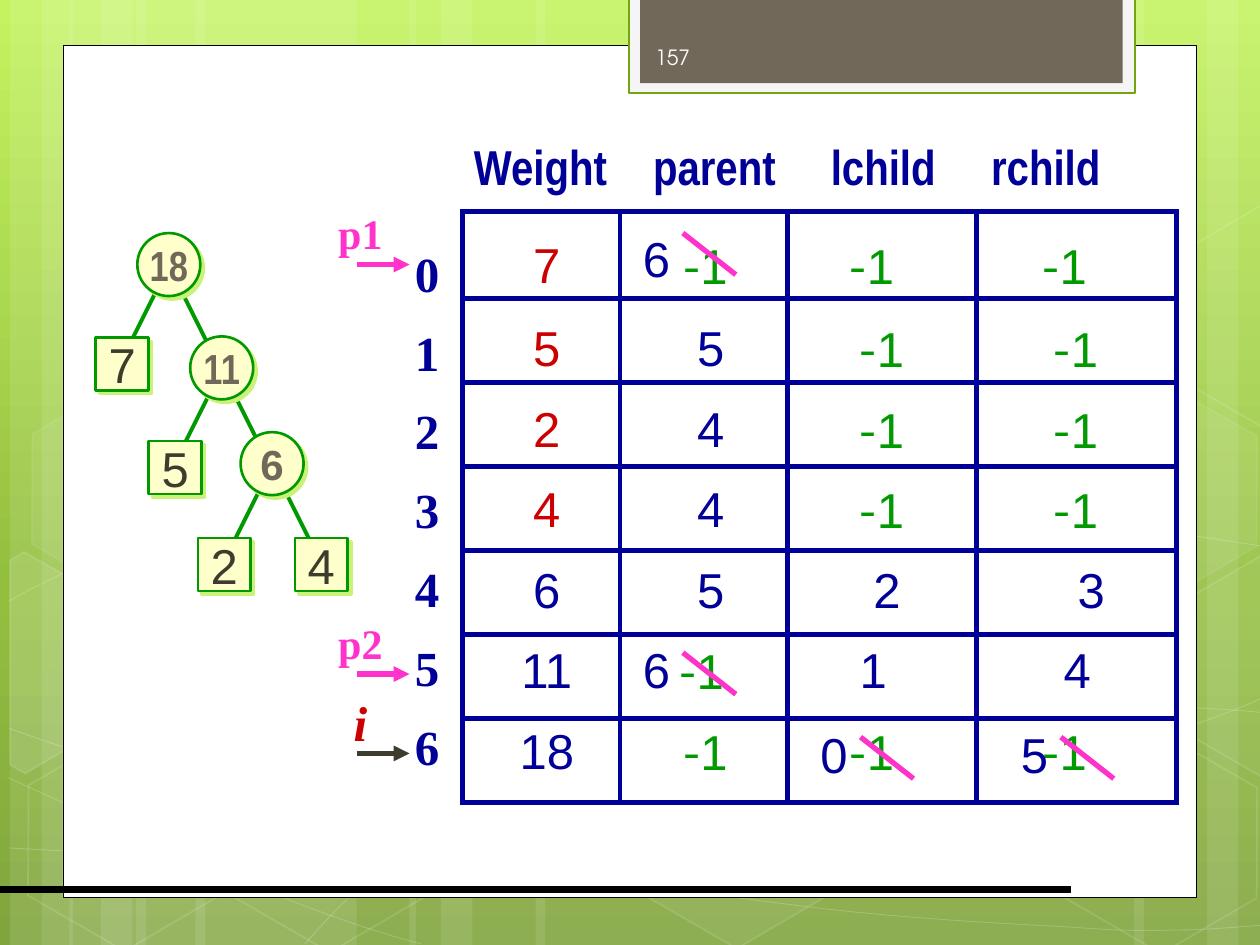
from lxml.etree import SubElement
from pptx import Presentation
from pptx.dml.color import RGBColor
from pptx.enum.shapes import MSO_CONNECTOR, MSO_SHAPE as SHAPE
from pptx.enum.text import MSO_ANCHOR as ANCHOR, PP_ALIGN as ALIGN
from pptx.oxml.ns import qn
from pptx.util import Inches, Pt

COLORS = dict(white="FFFFFF", black="000000", navy="000099", red="CC0000", green="009900",
              pink="FF33CC", dark="3E3D2D", taupe="71685A", cream="FFFFCC", lime="CAF278",
              tab="F5F5F5", olive="74A510", number="FEFEFE")
SERIF = "Times New Roman"

# Backdrop: gradient stops, bands (left, width), hexagons, cut hexagons and curves
GRADIENT = [(0, "C3F35F"), (62, "93BF3F"), (100, "81A53E")]
BANDS = [(1.08, 1.75), (0.08, 0.5), (0.33, 0.83), (1.55, 1.75), (0.55, 0.5), (0.8, 0.83),
         (7.33, 1.75), (9.58, 0.5), (9, 0.83), (4.25, 3.08), (3.25, 0.5), (3.5, 0.83)]
HEXAGONS = [(4.97, 5.89, 6, 12), (0.11, 5.91, 0, 12), (0.14, 3.12, 7, 8),
            (1.74, 5.92, 0, 12), (8.34, 5.93, 0, 12), (8.34, 3.14, 7, 8)]
CUT_HEXAGONS = [
    ([(0.08, 4.45), (0.19, 4.38), (0.96, 4.82), (0.95, 5.7), (0.2, 6.14), (0.08, 6.07)], 10),
    ([(9.26, 4.85), (10.01, 4.41), (10.09, 4.46), (10.09, 6.13), (10.02, 6.17), (9.26, 5.73)], 4),
    ([(9.26, 2.07), (10.01, 1.63), (10.1, 1.68), (10.09, 3.35), (10.02, 3.39), (9.26, 2.95)], 0)]
CURVES = [
    [(0.07, 6.73), (0.61, 6.76), (1.15, 6.79), (1.9, 6.78), (2.65, 6.77), (3.58, 6.75),
     (4.58, 6.65), (5.58, 6.55), (7, 6.36), (7.92, 6.17), (8.83, 5.98), (9.77, 5.68), (10.07, 5.51)],
    [(0.07, 4.77), (0.36, 4.61), (0.65, 4.46), (1.21, 4.31), (1.78, 4.16), (2.59, 3.94),
     (3.47, 3.87), (4.36, 3.8), (5.44, 3.79), (6.54, 3.87), (7.64, 3.95), (9.47, 4.26), (10.07, 4.34)],
    [(0.06, 6.17), (1.27, 6.72), (2.47, 7.27), (3.34, 7.49)],
    [(0.07, 5.78), (0.38, 5.89), (0.7, 6), (1.28, 6.16), (1.86, 6.31), (2.73, 6.56),
     (3.57, 6.73), (4.4, 6.9), (5.45, 7.08), (6.28, 7.18), (7.11, 7.29), (8, 7.33),
     (8.53, 7.36), (9.05, 7.4), (9.19, 7.38), (9.45, 7.38), (9.71, 7.37), (9.89, 7.35), (10.07, 7.34)],
    [(2.42, 7.49), (2.6, 7.29), (2.78, 7.09), (3.02, 6.91), (3.26, 6.73), (3.6, 6.53),
     (3.88, 6.39), (4.16, 6.25), (4.33, 6.19), (4.7, 6.09), (5.06, 5.99), (5.73, 5.85),
     (6.08, 5.78), (6.44, 5.71), (6.49, 5.71), (6.8, 5.69), (7.11, 5.66), (7.6, 5.63),
     (7.94, 5.62), (8.29, 5.61), (8.86, 5.62), (8.86, 5.62), (9.1, 5.62), (9.3, 5.62),
     (9.53, 5.62), (9.71, 5.63), (9.88, 5.64), (10.06, 5.66)]]

# Tree: value, centre x, centre y; inner nodes add their font
INNER = [("18", 1.34, 2.1, "Arial Narrow"), ("11", 1.76, 2.92, "Arial Narrow"),
         ("6", 2.16, 3.68, "Arial")]
LEAVES = [("7", 0.97, 2.89), ("5", 1.39, 3.71), ("2", 1.78, 4.48), ("4", 2.55, 4.48)]

# Node array: header centres, column widths, rows of (text, colour, centre x)
HEADERS = [("Weight", 4.29), ("parent", 5.67), ("lchild", 7.01), ("rchild", 8.3)]
GRID_LEFT, GRID_TOP, ROW_HEIGHT = 3.67, 1.68, 0.667
COLUMN_WIDTHS = [1.25, 1.33, 1.5, 1.59]
ROWS = [
    [("7", "red", 4.34), ("-1", "green", 5.6), ("-1", "green", 6.92), ("-1", "green", 8.45)],
    [("5", "red", 4.34), ("5", "navy", 5.64), ("-1", "green", 7), ("-1", "green", 8.54)],
    [("2", "red", 4.34), ("4", "navy", 5.64), ("-1", "green", 7), ("-1", "green", 8.54)],
    [("4", "red", 4.34), ("4", "navy", 5.64), ("-1", "green", 7), ("-1", "green", 8.54)],
    [("6", "navy", 4.34), ("5", "navy", 5.64), ("2", "navy", 7.04), ("3", "navy", 8.66)],
    [("11", "navy", 4.34), ("-1", "green", 5.57), ("1", "navy", 6.93), ("4", "navy", 8.55)],
    [("18", "navy", 4.34), ("-1", "green", 5.6), ("-1", "green", 6.92), ("-1", "green", 8.45)]]
# New value, its centre, start of the stroke through the old value
CHANGES = [("6", 5.21, 2.05, 5.42, 1.85), ("6", 5.21, 5.31, 5.42, 5.18),
           ("0", 6.62, 5.98, 6.83, 5.85), ("5", 8.21, 5.98, 8.42, 5.85)]
# Pointer name, label centre, arrow height, colours of label and arrow, size
POINTERS = [("p1", 2.86, 1.85, 2.1, "pink", "pink", 24), ("p2", 2.86, 5.1, 5.35, "pink", "pink", 24),
            ("i", 2.86, 5.73, 5.98, "red", "dark", 28)]

presentation = Presentation()
presentation.slide_width, presentation.slide_height = Inches(10), Inches(7.5)
slide = presentation.slides.add_slide(presentation.slide_layouts[6])
shapes = slide.shapes


def rgb(name):
    return RGBColor.from_string(COLORS[name])


def set_alpha(parent, percent):
    for color in parent.findall(qn("a:solidFill") + "/" + qn("a:srgbClr")):
        SubElement(color, qn("a:alpha"), val=str(percent * 1000))


def paint(shape, fill=None, line=None, width=1, fill_alpha=100, line_alpha=100):
    properties = shape.element.spPr
    shape.shadow.inherit = False
    if fill:
        shape.fill.solid()
        shape.fill.fore_color.rgb = rgb(fill)
        set_alpha(properties, fill_alpha)
    else:
        shape.fill.background()
    if line:
        shape.line.color.rgb = rgb(line)
        shape.line.width = Pt(width)
        set_alpha(properties.find(qn("a:ln")), line_alpha)
    else:
        shape.line.fill.background()
    return shape


def add_box(kind, left, top, width, height, *style, **alphas):
    shape = shapes.add_shape(kind, Inches(left), Inches(top), Inches(width), Inches(height))
    return paint(shape, *style, **alphas)


def add_line(x1, y1, x2, y2, color, width, arrow=False):
    line = shapes.add_connector(MSO_CONNECTOR.STRAIGHT, *map(Inches, (x1, y1, x2, y2)))
    line.line.color.rgb = rgb(color)
    line.line.width = Pt(width)
    if arrow:
        SubElement(line.element.spPr.find(qn("a:ln")), qn("a:tailEnd"), type="triangle")
    SubElement(line.element.spPr, qn("a:effectLst"))


def add_outline(points, close):
    builder = shapes.build_freeform(Inches(points[0][0]), Inches(points[0][1]))
    builder.add_line_segments([(Inches(x), Inches(y)) for x, y in points[1:]], close=close)
    return builder.convert_to_shape()


def add_curve(points):
    """Turn every three segments of an open outline into one Bézier segment."""
    shape = add_outline(points, False)
    outline = next(shape.element.iter(qn("a:path")))
    segments = outline.findall(qn("a:lnTo"))
    for start in range(0, len(segments), 3):
        bezier = SubElement(outline, qn("a:cubicBezTo"))
        for segment in segments[start:start + 3]:
            bezier.append(segment[0])
            outline.remove(segment)
    return shape


def style_font(font, name, size, color, bold=False, italic=False):
    font.name, font.size, font.bold, font.italic = name, Pt(size), bold, italic
    font.color.rgb = rgb(color)


def write(shape, lines, *font, align=ALIGN.CENTER, spacing=1, gap=0):
    frame = shape.text_frame
    frame.word_wrap = False
    frame.vertical_anchor = ANCHOR.MIDDLE
    frame.margin_left = frame.margin_right = frame.margin_top = frame.margin_bottom = 0
    frame.text = "\n".join(lines)
    for index, paragraph in enumerate(frame.paragraphs):
        paragraph.alignment = align
        paragraph.line_spacing = spacing
        paragraph.space_before = Pt(gap if index else 0)
        style_font(paragraph.font, *font)


def add_label(lines, x, y, *font, width=1.3, height=0.5, **layout):
    box = shapes.add_textbox(Inches(x - width / 2), Inches(y - height / 2),
                             Inches(width), Inches(height))
    write(box, lines, *font, **layout)


# Backdrop
fill = slide.background.fill
fill.gradient()
fill.gradient_angle = 270
stops = next(slide.element.iter(qn("a:gsLst")))
for stop in list(stops):
    stops.remove(stop)
for position, color in GRADIENT:
    stop = SubElement(stops, qn("a:gs"), pos=str(position * 1000))
    SubElement(stop, qn("a:srgbClr"), val=color)
for left, width in BANDS:
    add_box(SHAPE.RECTANGLE, left, 0, width, 7.5, "white", fill_alpha=10)
for curve in CURVES:
    paint(add_curve(curve), None, "white", 0.5, line_alpha=20)
for left, top, fill_alpha, line_alpha in HEXAGONS:
    hexagon = add_box(SHAPE.HEXAGON, left, top, 1.75, 1.52, "white" if fill_alpha else None,
                      "white", 1, fill_alpha=fill_alpha, line_alpha=line_alpha)
    hexagon.adjustments[0] = 0.285
    hexagon.rotation = 30
for points, alpha in CUT_HEXAGONS:
    paint(add_outline(points, True), "white" if alpha else None, "white", 1,
          fill_alpha=alpha, line_alpha=12)

# Panel, number tab and bottom rule
add_box(SHAPE.RECTANGLE, 0.5, 0.36, 9, 6.76, "white", "black", 0.5)
add_box(SHAPE.RECTANGLE, 4.99, -0.02, 4.02, 0.76, "tab", "olive", 1.25)
add_box(SHAPE.RECTANGLE, 5.08, -0.02, 3.83, 0.68, "taupe")
add_line(0, 7.06, 8.5, 7.06, "black", 4.5)
add_label(["157"], 5.86, 0.45, "TeX Gyre Adventor", 12, "number", width=1.32, align=ALIGN.LEFT)

# Tree
for value, x, y, font in INNER:
    for side in (-1, 1):
        add_line(x + side * 0.08, y + 0.17, x + side * 0.33, y + 0.67, "green", 2.25)
nodes = [(SHAPE.RECTANGLE, 0.42, value, x, y, ("Arial", 28, "dark")) for value, x, y in LEAVES]
nodes += [(SHAPE.OVAL, 0.5, value, x, y, (font, 24, "taupe", True)) for value, x, y, font in INNER]
for kind, size, value, x, y, font in nodes:
    node = add_box(kind, x - size / 2, y - size / 2, size, size, "cream", "green", 1.5)
    shadow = SubElement(node.element.spPr.find(qn("a:effectLst")), qn("a:outerShdw"),
                        dist=str(Pt(2.8)), dir="2700000", algn="ctr", rotWithShape="0")
    SubElement(shadow, qn("a:srgbClr"), val=COLORS["lime"])
    write(node, [value], *font)

# Node array
for header, x in HEADERS:
    add_label([header], x, 1.32, "Arial Narrow", 28, "navy", True)
table = shapes.add_table(len(ROWS), len(COLUMN_WIDTHS), Inches(GRID_LEFT), Inches(GRID_TOP),
                         Inches(sum(COLUMN_WIDTHS)), Inches(ROW_HEIGHT * len(ROWS))).table
table.first_row = table.horz_banding = False
for column, width in zip(table.columns, COLUMN_WIDTHS):
    column.width = Inches(width)
for r, row in enumerate(ROWS):
    table.rows[r].height = Inches(ROW_HEIGHT)
    for c, (value, color, x) in enumerate(row):
        cell = table.cell(r, c)
        for side in ("lnL", "lnR", "lnT", "lnB"):
            border = SubElement(cell._tc.get_or_add_tcPr(), qn("a:" + side), w=str(Pt(3)))
            SubElement(SubElement(border, qn("a:solidFill")), qn("a:srgbClr"), val=COLORS["navy"])
        cell.fill.background()
        shift = x - GRID_LEFT - sum(COLUMN_WIDTHS[:c]) - COLUMN_WIDTHS[c] / 2
        cell.margin_left, cell.margin_right = Inches(max(0, 2 * shift)), Inches(max(0, -2 * shift))
        cell.margin_top, cell.margin_bottom = Inches(0.22 - 0.028 * r), 0
        paragraph = cell.text_frame.paragraphs[0]
        paragraph.alignment = ALIGN.CENTER
        style_font(paragraph.font, "Arial", 28, color)
        if value.startswith("-"):
            paragraph.line_spacing = 0.8  # offsets the taller font of the sign
            sign = paragraph.add_run()
            sign.text = "-"
            sign.font.name = "Noto Sans CJK SC"
        paragraph.add_run().text = value.lstrip("-")

# Row indexes, pointers and changed values
add_label([str(index) for index in range(len(ROWS))], 3.39, 4.03, SERIF, 28, "navy", True,
          width=0.4, height=4.51, spacing=1.05, gap=9.8)
for name, x, y, arrow_y, color, arrow_color, size in POINTERS:
    add_line(2.83, arrow_y, 3.25, arrow_y, arrow_color, 3, arrow=True)
    add_label([name], x, y, SERIF, size, color, True, name == "i", width=0.55)
for value, x, y, stroke_x, stroke_y in CHANGES:
    add_line(stroke_x, stroke_y, stroke_x + 0.42, stroke_y + 0.33, "pink", 3)
    add_label([value], x, y, "Arial", 28, "navy", width=0.42)

presentation.save("out.pptx")
